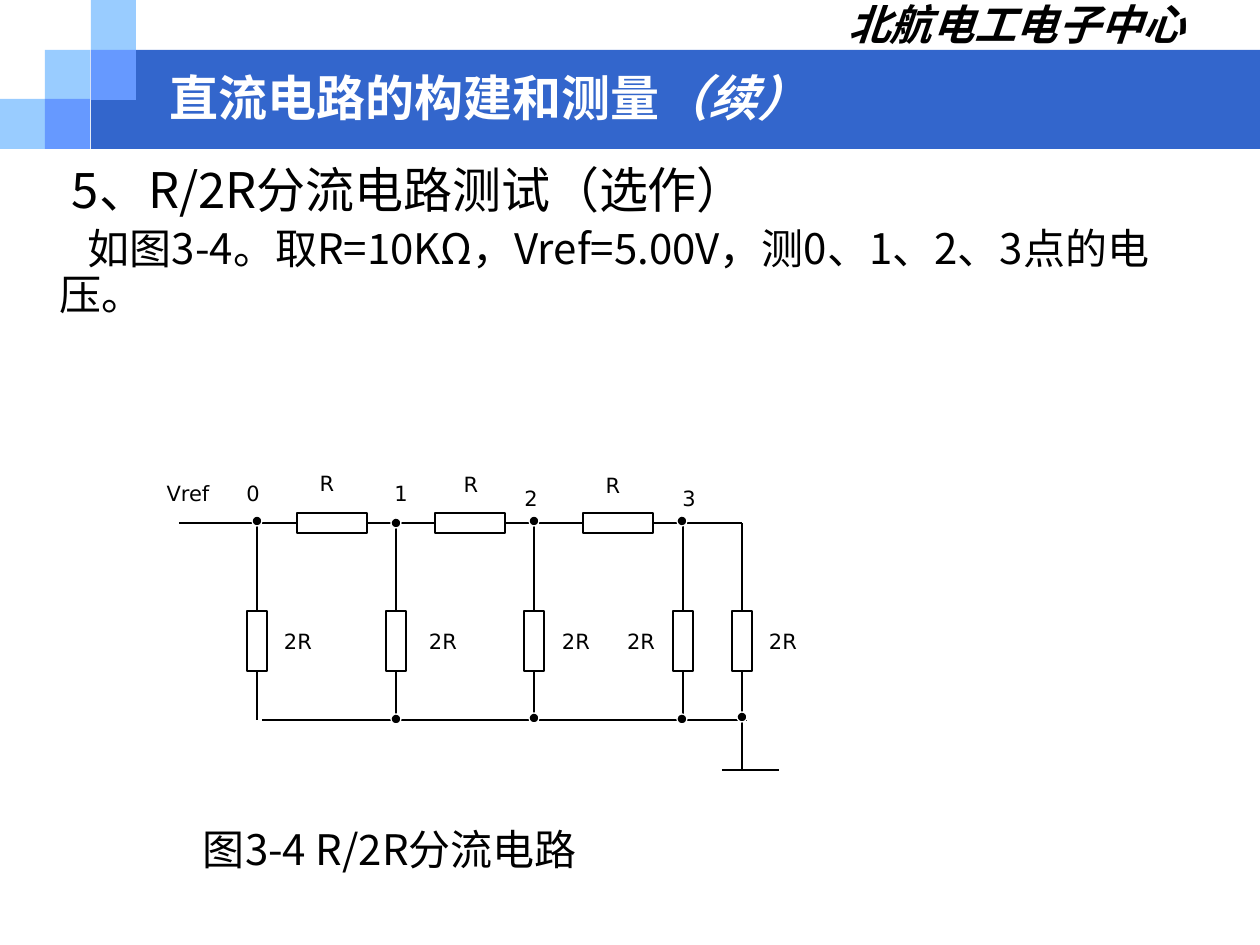
from dataclasses import dataclass
from typing import Any

from lxml.etree import SubElement
from pptx import Presentation
from pptx.dml.color import RGBColor
from pptx.enum.shapes import MSO_CONNECTOR as Link, MSO_SHAPE as Form
from pptx.enum.text import MSO_ANCHOR as Anchor, PP_ALIGN as Align
from pptx.oxml.ns import qn
from pptx.util import Pt

SCALE = 914400 / 126
COLORS = {
    "band": "3366CC", "pale": "99CCFF", "mid": "6699FF",
    "ink": "000000", "paper": "FFFFFF",
}
CJK = "Noto Sans CJK SC"
LATIN = "DejaVu Sans"
TOP_RAIL, BOTTOM_RAIL, GROUND = 523, 720, 770
BRANCHES = (257, 396, 534, 683, 742)
SERIES = (297, 435, 583)
TOP, LEFT, BOTTOM, RIGHT = range(4)


@dataclass(frozen=True)
class Block:
    left: int
    top: int
    width: int
    height: int
    fill: str
    line: str | None = None
    form: Any = Form.RECTANGLE


@dataclass(frozen=True)
class Span:
    text: str
    size: int
    color: str = "ink"
    font: str = CJK
    bold: bool = False
    italic: bool = False


@dataclass(frozen=True)
class Label:
    text: str
    x: int
    y: int


@dataclass(frozen=True)
class End:
    x: int
    y: int
    shape: Any = None
    site: int = TOP


def emu(px: int) -> int:
    return round(px * SCALE)


def rgb(name: str) -> RGBColor:
    return RGBColor.from_string(COLORS[name])


def apply(target: Any, values: dict[str, Any]) -> None:
    for name, value in values.items():
        setattr(target, name, value)


def draw_block(page: Any, block: Block) -> Any:
    bounds = map(emu, (block.left, block.top, block.width, block.height))
    shape = page.shapes.add_shape(block.form, *bounds)
    shape.shadow.inherit = False
    shape.fill.solid()
    shape.fill.fore_color.rgb = rgb(block.fill)
    if block.line:
        shape.line.color.rgb = rgb(block.line)
        shape.line.width = Pt(0.75)
    else:
        shape.line.fill.background()
    return shape


def draw_wire(page: Any, start: End, end: End) -> None:
    points = map(emu, (start.x, start.y, end.x, end.y))
    wire = page.shapes.add_connector(Link.STRAIGHT, *points)
    if start.shape is not None:
        wire.begin_connect(start.shape, start.site)
    if end.shape is not None:
        wire.end_connect(end.shape, end.site)
    wire.line.color.rgb = rgb("ink")
    wire.line.width = Pt(0.75)
    SubElement(wire._element.spPr, qn("a:effectLst"))


def add_span(para: Any, span: Span) -> None:
    run = para.add_run()
    run.text = span.text
    apply(run.font, {"size": Pt(span.size), "name": span.font,
                     "bold": span.bold, "italic": span.italic})
    run.font.color.rgb = rgb(span.color)
    SubElement(run._r.get_or_add_rPr(), qn("a:ea"), typeface=CJK)


def add_box(page: Any, left: int, top: int, width: int, height: int,
            anchor: Any = Anchor.MIDDLE, wrap: bool = True) -> Any:
    box = page.shapes.add_textbox(*map(emu, (left, top, width, height)))
    apply(box.text_frame, {
        "margin_left": 0, "margin_right": 0, "margin_top": 0,
        "margin_bottom": 0, "vertical_anchor": anchor, "word_wrap": wrap,
    })
    return box.text_frame


def draw_label(page: Any, label: Label) -> None:
    para = add_box(page, label.x - 25, label.y - 15, 50, 30,
                   wrap=False).paragraphs[0]
    para.alignment = Align.CENTER
    add_span(para, Span(label.text, 12, font=LATIN))


def draw_header(page: Any) -> None:
    draw_block(page, Block(91, 50, 1169, 99, "band"))
    for column, row, fill in ((0, 2, "pale"), (1, 1, "pale"), (2, 0, "pale"),
                              (2, 1, "mid"), (1, 2, "mid")):
        draw_block(page, Block(round(column * 45.4), round(row * 49.6),
                               45, 50, fill))
    para = add_box(page, 770, 0, 414, 48).paragraphs[0]
    para.alignment = Align.RIGHT
    add_span(para, Span("北航电工电子中心", 24, font=LATIN, bold=True, italic=True))
    para = add_box(page, 170, 63, 1005, 67).paragraphs[0]
    add_span(para, Span("直流电路的构建和测量", 28, "paper", bold=True))
    add_span(para, Span("（续）", 28, "paper", "Arial", True, True))


def draw_body(page: Any) -> None:
    frame = add_box(page, 60, 161, 1124, 160, Anchor.TOP)
    rows = (
        (Span("5、R/2R分流电路测试（选作）", 28), 12, 33, 0),
        (Span("如图3-4。取R=10KΩ，Vref=5.00V，测0、1、2、3点的电压。", 24), 28, 26, 5),
    )
    for index, (span, indent, pitch, before) in enumerate(rows):
        para = frame.add_paragraph() if index else frame.paragraphs[0]
        para.line_spacing = Pt(pitch)
        if before:
            para.space_before = Pt(before)
        para._p.get_or_add_pPr().set("indent", str(emu(indent)))
        add_span(para, span)
    caption = add_box(page, 203, 820, 500, 58).paragraphs[0]
    add_span(caption, Span("图3-4 R/2R分流电路", 24))


def draw_circuit(page: Any) -> None:
    series = [draw_block(page, Block(x, TOP_RAIL - 10, 70, 20, "paper", "ink"))
              for x in SERIES]
    shunts = [draw_block(page, Block(x - 10, 611, 20, 60, "paper", "ink"))
              for x in BRANCHES]

    rail = [End(179, TOP_RAIL)]
    for x, resistor in zip(SERIES, series):
        rail += [End(x, TOP_RAIL, resistor, LEFT),
                 End(x + 70, TOP_RAIL, resistor, RIGHT)]
    rail.append(End(BRANCHES[-1], TOP_RAIL))
    for start, end in zip(rail[::2], rail[1::2]):
        draw_wire(page, start, end)

    for x, resistor in zip(BRANCHES, shunts):
        foot = GROUND if x == BRANCHES[-1] else BOTTOM_RAIL
        draw_wire(page, End(x, TOP_RAIL), End(x, 611, resistor, TOP))
        draw_wire(page, End(x, 671, resistor, BOTTOM), End(x, foot))
    draw_wire(page, End(262, BOTTOM_RAIL), End(747, BOTTOM_RAIL))
    draw_wire(page, End(722, GROUND), End(779, GROUND))

    for x, y in ((257, 521), (396, 523), (534, 521), (682, 521),
                 (396, 719), (534, 718), (682, 719), (742, 717)):
        draw_block(page, Block(x - 5, y - 5, 10, 10, "ink", "paper", Form.OVAL))

    labels = [Label("Vref", 188, 493)]
    labels += [Label("R", x, y) for x, y in ((327, 483), (471, 484), (613, 485))]
    labels += [Label("2R", x, 641) for x in (298, 443, 576, 641, 783)]
    labels += [Label(str(node), x, y) for node, (x, y) in enumerate(
        ((253, 493), (401, 493), (531, 498), (689, 498)))]
    for label in labels:
        draw_label(page, label)


def main() -> None:
    deck = Presentation()
    apply(deck, {"slide_width": emu(1260), "slide_height": emu(945)})
    page = deck.slides.add_slide(deck.slide_layouts[6])
    draw_header(page)
    draw_body(page)
    draw_circuit(page)
    deck.save("out.pptx")


if __name__ == "__main__":
    main()
